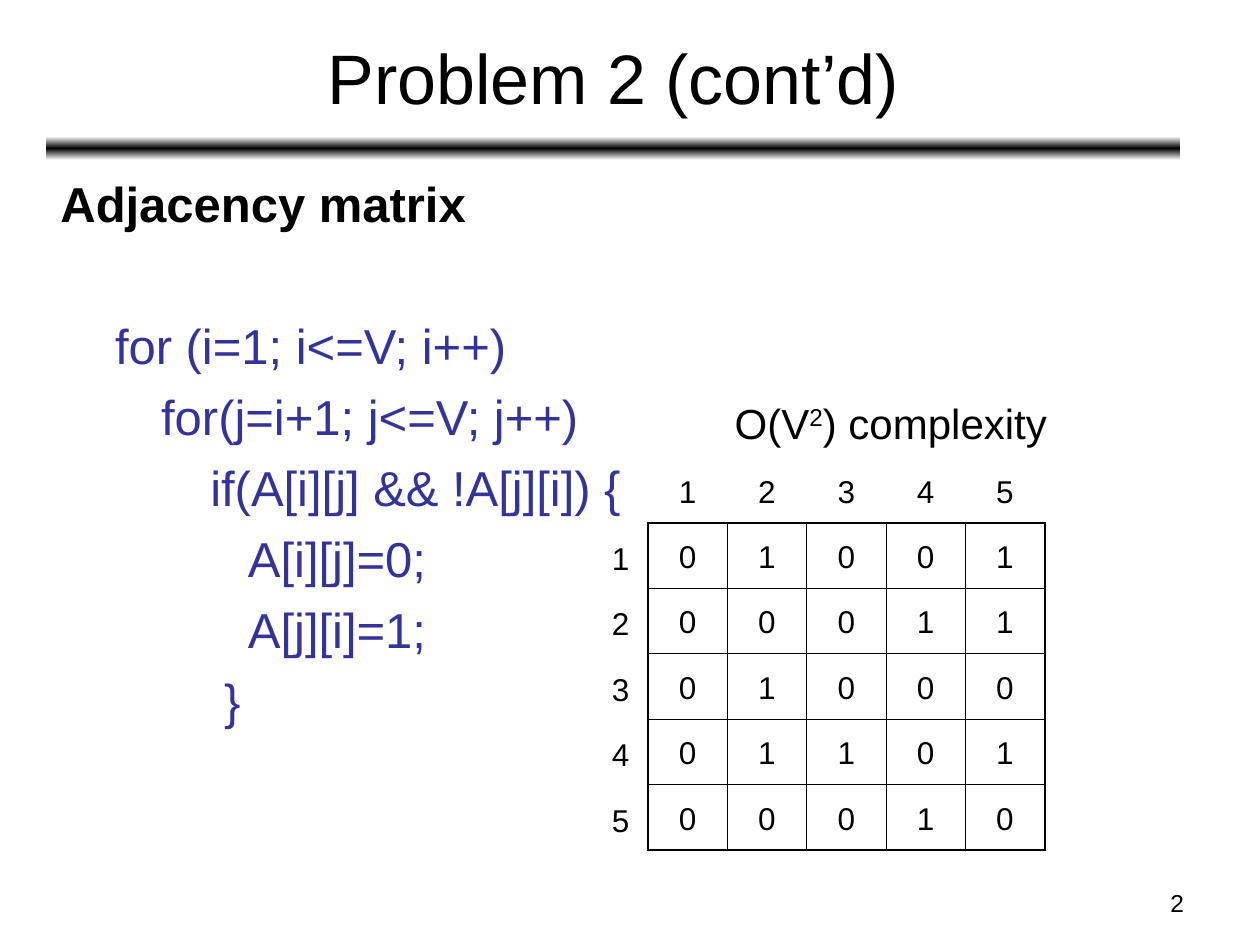
from copy import deepcopy
from dataclasses import dataclass

from lxml import etree
from pptx import Presentation
from pptx import util as u
from pptx.dml.color import RGBColor
from pptx.enum import shapes, text
from pptx.oxml import ns


@dataclass(frozen=True)
class Theme:
    """Colours, font and type sizes of the slide."""
    font: str = "Arial"
    ink: str = "000000"
    code: str = "333399"
    paper: str = "FFFFFF"
    title: int = 40
    body: int = 28
    note: int = 24
    cell: int = 18
    page: int = 14
    outer: float = 1.08
    inner: float = 0.45


THEME = Theme()
CODE = [
    ("for (i=1; i<=V; i++)", 1.1),
    ("for(j=i+1; j<=V; j++)", 2.03),
    ("if(A[i][j] && !A[j][i]) {", 3.02),
    ("A[i][j]=0;", 3.78),
    ("A[j][i]=1;", 3.78),
    ("}", 3.3),
]
MATRIX = ["01001", "00011", "01000", "01101", "00010"]


def style(para, size, color=THEME.ink, bold=False, align=text.PP_ALIGN.LEFT):
    """Format every run of a paragraph."""
    para.alignment = align
    for run in para.runs:
        font = run.font
        font.name, font.size, font.bold = THEME.font, u.Pt(size), bold
        font.color.rgb = RGBColor.from_string(color)


def label(slide, box, words, size, align=text.PP_ALIGN.CENTER,
          anchor=text.MSO_ANCHOR.MIDDLE):
    """Add one text box and return its frame."""
    frame = slide.shapes.add_textbox(*map(u.Cm, box)).text_frame
    frame.word_wrap = True
    frame.vertical_anchor = anchor
    frame.text = words
    style(frame.paragraphs[0], size, align=align)
    return frame


def header(slide, box):
    """Place the title above a bar that fades at both edges."""
    left, top, width, height = box
    label(slide, (left, top, width, 2.51), "Problem 2 (cont’d)", THEME.title)
    bar = slide.shapes.add_shape(
        shapes.MSO_SHAPE.ROUNDED_RECTANGLE,
        *map(u.Cm, (left, top + height - 0.48, width, 0.48)))
    bar.shadow.inherit = False
    bar.line.fill.background()
    bar.fill.gradient()
    bar.fill.gradient_angle = 90
    first, last = bar.fill.gradient_stops
    first.color.rgb = RGBColor.from_string(THEME.paper)
    last.color.rgb = RGBColor.from_string(THEME.ink)
    last.position = 0.5
    stops = bar.element.spPr.find(".//" + ns.qn("a:gsLst"))
    end = deepcopy(stops[0])
    end.set("pos", "100000")
    stops.append(end)


def listing(slide, box):
    """Place the heading and the indented code lines."""
    frame = label(slide, box, "Adjacency matrix", THEME.body,
                  text.PP_ALIGN.LEFT, text.MSO_ANCHOR.TOP)
    style(frame.paragraphs[0], THEME.body, bold=True)
    for row, (words, indent) in enumerate(CODE):
        para = frame.add_paragraph()
        para.text = words
        para.space_before = u.Pt(7 if row else 47.6)
        para._p.get_or_add_pPr().set("marL", str(u.Cm(indent)))
        style(para, THEME.body, THEME.code)


def note(slide, box):
    """Place the complexity remark with its raised exponent."""
    frame = label(slide, box, "O(V", THEME.note, text.PP_ALIGN.LEFT)
    frame.word_wrap = False
    para = frame.paragraphs[0]
    power, rest = para.add_run(), para.add_run()
    power.text, rest.text = "2", ") complexity"
    style(para, THEME.note)
    power.font._element.set("baseline", "30000")


def border(cell, sides):
    """Draw the four edges of a cell, thick where it meets the frame."""
    props = cell._tc.get_or_add_tcPr()
    for spot, (side, outer) in enumerate(sides.items()):
        line = etree.Element(ns.qn("a:ln" + side))
        line.set("w", str(u.Pt(THEME.outer if outer else THEME.inner)))
        fill = etree.SubElement(line, ns.qn("a:solidFill"))
        etree.SubElement(fill, ns.qn("a:srgbClr")).set("val", THEME.ink)
        props.insert(spot, line)


def grid(slide, box, count):
    """Place an empty square table with a thicker frame."""
    table = slide.shapes.add_table(count, count, *map(u.Cm, box)).table
    table.first_row = table.horz_banding = False
    last = count - 1
    for row in range(count):
        for col in range(count):
            cell = table.cell(row, col)
            cell.fill.background()
            border(cell, {"L": col == 0, "R": col == last,
                          "T": row == 0, "B": row == last})


def matrix(slide, box):
    """Place the grid, its digits and the row and column numbers."""
    left, top, width, height = box
    count = len(MATRIX)
    wide, high = width / count, height / count
    grid(slide, box, count)

    def digit(x, y, words):
        """Place one digit relative to the corner of the grid."""
        label(slide, (left + x, top + y, 0.86, 1.02), words, THEME.cell)

    for row, digits in enumerate(MATRIX):
        for col, words in enumerate(digits):
            digit(col * wide + 0.37, row * high + 0.15, words)
    for step in range(count):
        number = str(step + 1)
        digit(step * wide + 0.37, -1.16, number)
        digit(-0.98, step * high + 0.19, number)


def main():
    """Build the slide and save it."""
    deck = Presentation()
    deck.slide_width, deck.slide_height = u.Cm(25.4), u.Cm(19.05)
    slide = deck.slides.add_slide(deck.slide_layouts[6])
    header(slide, (0.92, 0.28, 22.88, 2.95))
    listing(slide, (0.97, 3.37, 22.86, 14.1))
    note(slide, (14.56, 7.88, 6.8, 1.27))
    matrix(slide, (13.06, 10.54, 8, 6.6))
    label(slide, (18.2, 17.78, 5.92, 0.89), "2", THEME.page,
          text.PP_ALIGN.RIGHT, text.MSO_ANCHOR.TOP)
    deck.save("out.pptx")


if __name__ == "__main__":
    main()
